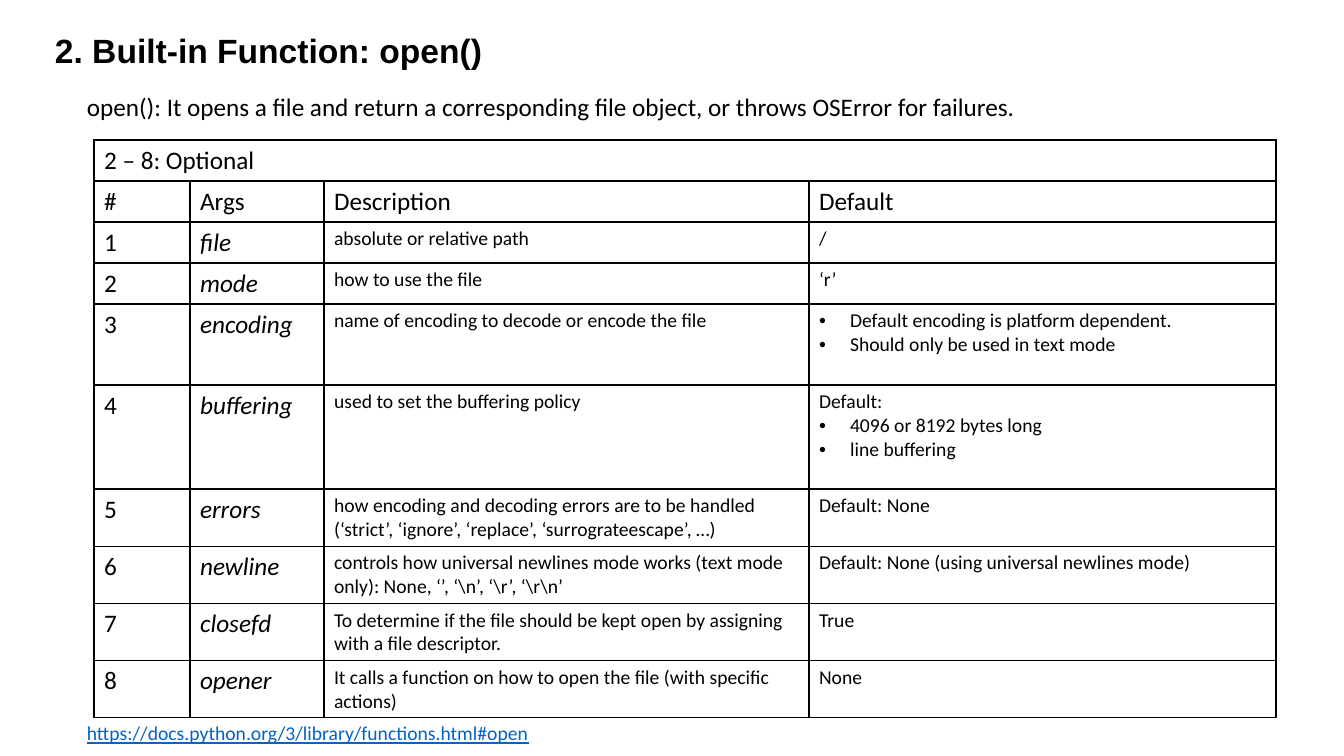
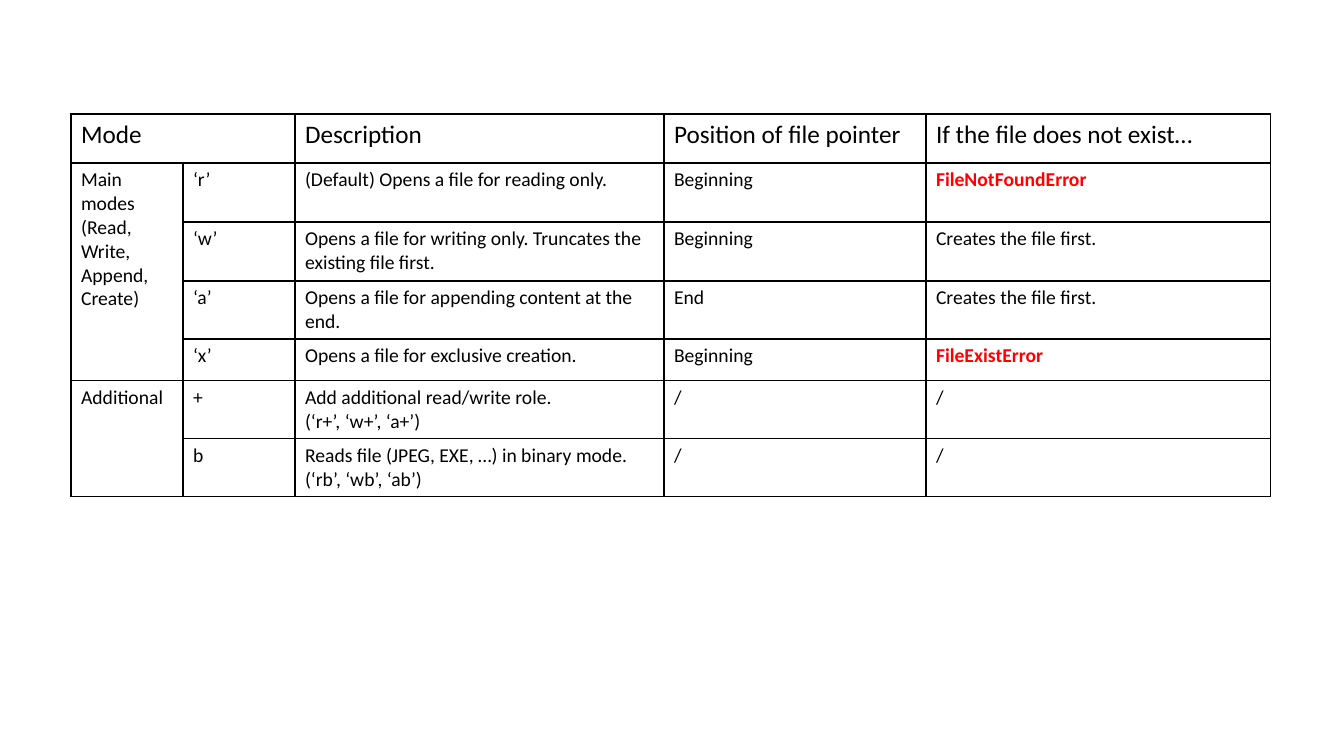
from dataclasses import dataclass
from typing import NamedTuple

from lxml import etree
from pptx import Presentation
from pptx.dml.color import RGBColor
from pptx.enum.text import MSO_ANCHOR
from pptx.oxml.ns import qn
from pptx.slide import Slide
from pptx.table import _Cell
from pptx.text.text import _Paragraph
from pptx.util import Emu, Pt

BLACK = RGBColor(0x00, 0x00, 0x00)
RED = RGBColor(0xFF, 0x00, 0x00)
LINK_BLUE = RGBColor(0x05, 0x63, 0xC1)
MIDDLE = MSO_ANCHOR.MIDDLE
TOP = MSO_ANCHOR.TOP

PIXELS_PER_INCH = 100.8
BLANK_LAYOUT = 6
BULLET_INDENT = 31
BORDER_WIDTH = Pt(1)


def px(length: int) -> Emu:
    return Emu(round(length * 914400 / PIXELS_PER_INCH))


@dataclass(frozen=True)
class Style:
    size: int
    color: RGBColor = BLACK
    bold: bool = False
    italic: bool = False
    underline: bool = False
    name: str = "Calibri"
    line_spacing: float = 1.0


TITLE = Style(24, bold=True, name="Arial", line_spacing=0.9)
LARGE = Style(18)
ARGUMENT = Style(18, italic=True)
BODY = Style(14)
ERROR = Style(14, color=RED, bold=True)
LINK = Style(14, color=LINK_BLUE, underline=True)


class Line(NamedTuple):
    text: str
    style: Style = BODY
    bulleted: bool = False


class Box(NamedTuple):
    left: int
    top: int
    width: int
    height: int


class Merge(NamedTuple):
    row: int
    column: int
    last_row: int
    last_column: int


CellLines = tuple[Line, ...]


@dataclass(frozen=True)
class Grid:
    left: int
    top: int
    column_widths: list[int]
    row_heights: list[int]
    rows: list[list[CellLines]]
    merges: list[Merge]


def lines(*texts: str, style: Style = BODY) -> CellLines:
    return tuple(Line(text, style) for text in texts)


def bullets(*texts: str) -> CellLines:
    return tuple(Line(text, bulleted=True) for text in texts)


def header(*texts: str) -> list[CellLines]:
    return [lines(text, style=LARGE) if text else () for text in texts]


ARGUMENTS: list[tuple[str, CellLines, CellLines]] = [
    ("file", lines("absolute or relative path"), lines("/")),
    ("mode", lines("how to use the file"), lines("‘r’")),
    ("encoding", lines("name of encoding to decode or encode the file"),
     bullets("Default encoding is platform dependent.",
             "Should only be used in text mode")),
    ("buffering", lines("used to set the buffering policy"),
     lines("Default:") + bullets("4096 or 8192 bytes long", "line buffering")),
    ("errors", lines("how encoding and decoding errors are to be handled",
                     "(‘strict’, ‘ignore’, ‘replace’, ‘surrograteescape’, …)"),
     lines("Default: None")),
    ("newline", lines("controls how universal newlines mode works (text mode only): "
                      "None, ‘’, ‘\\n’, ‘\\r’, ‘\\r\\n’"),
     lines("Default: None (using universal newlines mode)")),
    ("closefd", lines("To determine if the file should be kept open by assigning "
                      "with a file descriptor."),
     lines("True")),
    ("opener", lines("It calls a function on how to open the file "
                     "(with specific actions)"),
     lines("None")),
]

ARGUMENT_GRID = Grid(
    left=94, top=140,
    column_widths=[96, 134, 485, 467],
    row_heights=[41, 41, 41, 41, 81, 104, 57, 57, 57, 57],
    rows=[
        header("2 – 8: Optional", "", "", ""),
        header("#", "Args", "Description", "Default"),
        *([lines(str(number), style=LARGE), lines(name, style=ARGUMENT),
           description, default]
          for number, (name, description, default) in enumerate(ARGUMENTS, 1)),
    ],
    merges=[Merge(0, 0, 0, 3)],
)

MODE_GRID = Grid(
    left=71, top=114,
    column_widths=[112, 112, 369, 262, 345],
    row_heights=[49, 59, 59, 58, 42, 58, 58],
    rows=[
        header("Mode", "", "Description", "Position of file pointer",
               "If the file does not exist…"),
        [lines("Main modes", "(Read, Write, Append, Create)"), lines("‘r’"),
         lines("(Default) Opens a file for reading only."),
         lines("Beginning"), lines("FileNotFoundError", style=ERROR)],
        [(), lines("‘w’"),
         lines("Opens a file for writing only. Truncates the existing file first."),
         lines("Beginning"), lines("Creates the file first.")],
        [(), lines("‘a’"), lines("Opens a file for appending content at the end."),
         lines("End"), lines("Creates the file first.")],
        [(), lines("‘x’"), lines("Opens a file for exclusive creation."),
         lines("Beginning"), lines("FileExistError", style=ERROR)],
        [lines("Additional"), lines("+"),
         lines("Add additional read/write role.", "(‘r+’, ‘w+’, ‘a+’)"),
         lines("/"), lines("/")],
        [(), lines("b"),
         lines("Reads file (JPEG, EXE, …) in binary mode.", "(‘rb’, ‘wb’, ‘ab’)"),
         lines("/"), lines("/")],
    ],
    merges=[Merge(0, 0, 0, 1), Merge(1, 0, 4, 0), Merge(5, 0, 6, 0)],
)


def add_bullet(paragraph: _Paragraph) -> None:
    properties = paragraph._p.get_or_add_pPr()
    properties.set("marL", str(px(BULLET_INDENT)))
    properties.set("indent", str(-px(BULLET_INDENT)))
    font = etree.Element(qn("a:buFont"), typeface="Arial")
    character = etree.Element(qn("a:buChar"), char="•")
    properties.insert(0, font)
    properties.insert(1, character)


def write_line(paragraph: _Paragraph, line: Line) -> None:
    style = line.style
    paragraph.text = line.text
    paragraph.line_spacing = style.line_spacing
    font = paragraph.font
    font.name = style.name
    font.size = Pt(style.size)
    font.bold = style.bold
    font.italic = style.italic
    font.underline = style.underline
    font.color.rgb = style.color
    if line.bulleted:
        # Bullets follow the line spacing in the schema order.
        paragraph.line_spacing = None
        add_bullet(paragraph)


def add_text(slide: Slide, box: Box, line: Line, anchor: MSO_ANCHOR = TOP) -> None:
    shape = slide.shapes.add_textbox(*(px(length) for length in box))
    frame = shape.text_frame
    frame.word_wrap = True
    frame.vertical_anchor = anchor
    write_line(frame.paragraphs[0], line)


def style_cell(cell: _Cell) -> None:
    """Give the cell black borders and no fill."""
    properties = cell._tc.get_or_add_tcPr()
    for side in ("lnL", "lnR", "lnT", "lnB"):
        border = etree.SubElement(properties, qn(f"a:{side}"), w=str(BORDER_WIDTH))
        fill = etree.SubElement(border, qn("a:solidFill"))
        etree.SubElement(fill, qn("a:srgbClr"), val=str(BLACK))
    cell.fill.background()


def write_cell(cell: _Cell, cell_lines: CellLines) -> None:
    frame = cell.text_frame
    for index, line in enumerate(cell_lines):
        paragraph = frame.add_paragraph() if index else frame.paragraphs[0]
        write_line(paragraph, line)


def add_grid(slide: Slide, grid: Grid) -> None:
    box = Box(grid.left, grid.top, sum(grid.column_widths), sum(grid.row_heights))
    table = slide.shapes.add_table(
        len(grid.row_heights), len(grid.column_widths),
        *(px(length) for length in box)).table
    table.first_row = False
    table.horz_banding = False
    for column, width in zip(table.columns, grid.column_widths):
        column.width = px(width)
    for row, height, contents in zip(table.rows, grid.row_heights, grid.rows):
        row.height = px(height)
        for cell, cell_lines in zip(row.cells, contents):
            style_cell(cell)
            write_cell(cell, cell_lines)
    for merge in grid.merges:
        last_cell = table.cell(merge.last_row, merge.last_column)
        table.cell(merge.row, merge.column).merge(last_cell)


def build_open_slide(slide: Slide) -> None:
    add_text(slide, Box(45, 20, 605, 66),
             Line("2. Built-in Function: open()", TITLE), MIDDLE)
    add_text(slide, Box(77, 86, 1228, 40),
             Line("open(): It opens a file and return a corresponding file object, "
                  "or throws OSError for failures.", LARGE))
    add_grid(slide, ARGUMENT_GRID)
    add_text(slide, Box(77, 716, 467, 34),
             Line("https://docs.python.org/3/library/functions.html#open", LINK))


def build_mode_slide(slide: Slide) -> None:
    add_grid(slide, MODE_GRID)


def main() -> None:
    presentation = Presentation()
    presentation.slide_width = px(1344)
    presentation.slide_height = px(756)
    for build in (build_open_slide, build_mode_slide):
        build(presentation.slides.add_slide(presentation.slide_layouts[BLANK_LAYOUT]))
    presentation.save("out.pptx")


if __name__ == "__main__":
    main()
